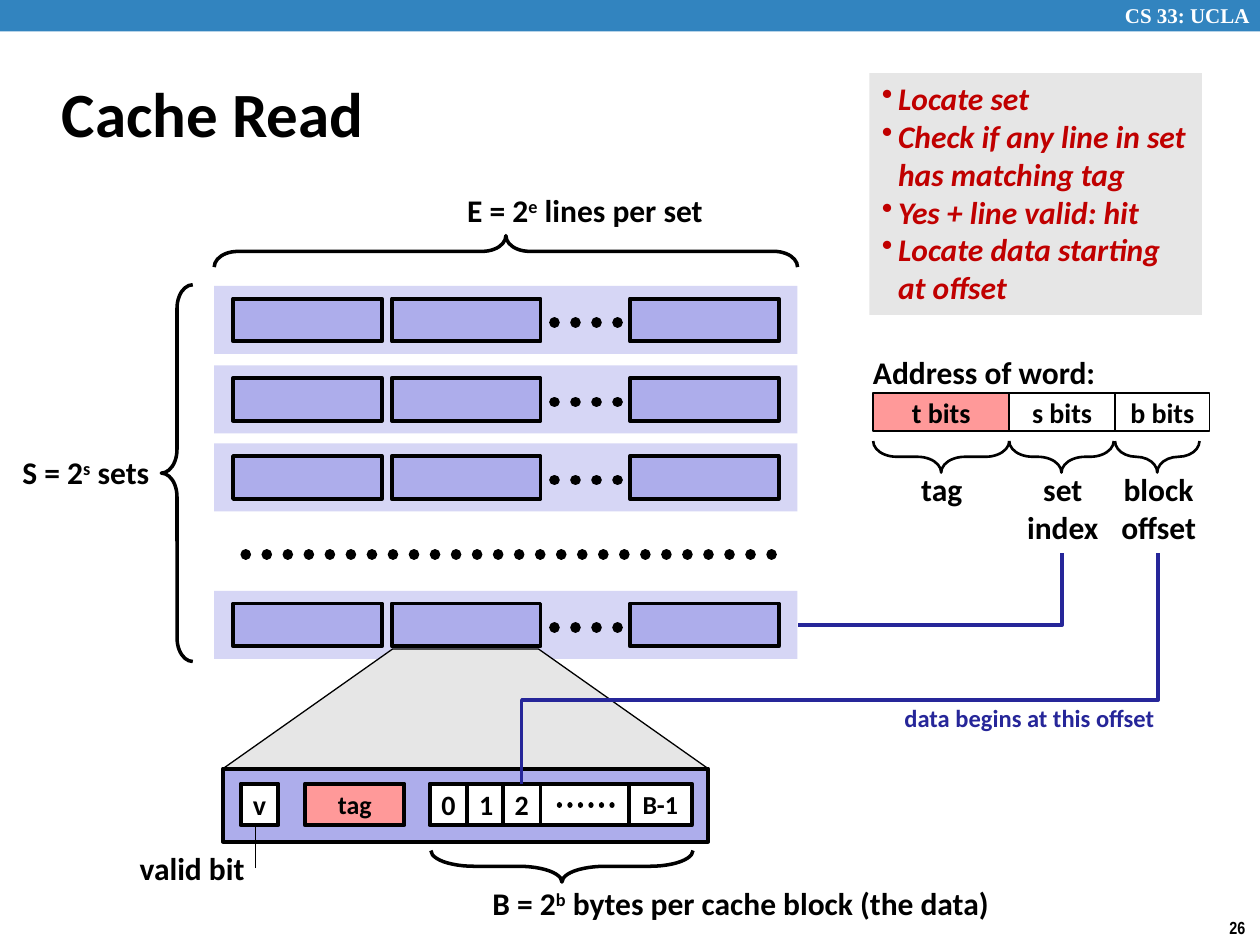
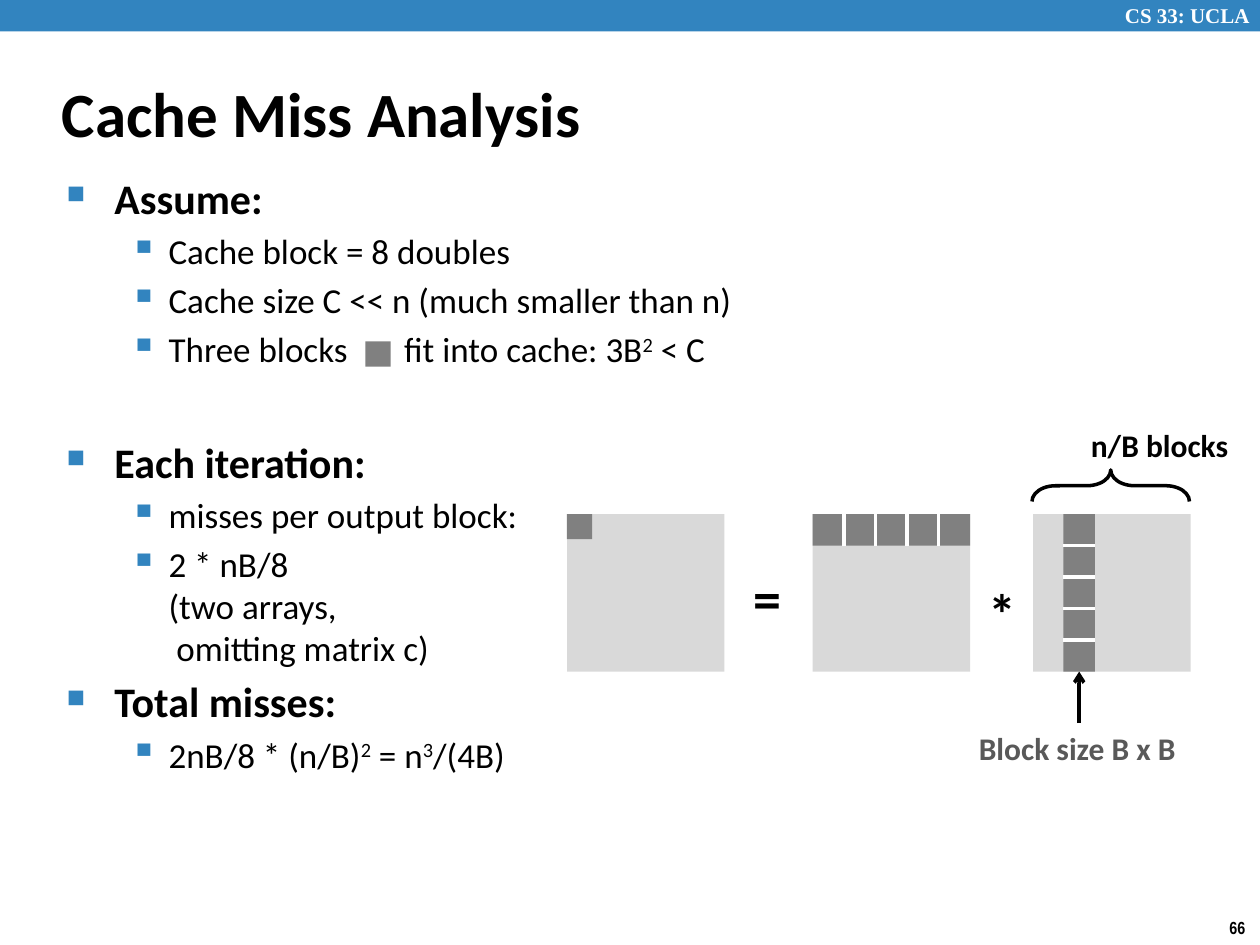
from dataclasses import dataclass

from lxml import etree
from pptx import Presentation
from pptx.dml.color import RGBColor
from pptx.enum import dml, shapes, text
from pptx.oxml import ns
from pptx.util import Inches, Pt

SHAPE = shapes.MSO_SHAPE


@dataclass(frozen=True)
class Theme:
    font: str = "Calibri"
    header_font: str = "Times New Roman"
    number_font: str = "Arial Narrow"
    black: str = "000000"
    white: str = "FFFFFF"
    band: str = "3284BF"
    set_fill: str = "D6D6F5"
    line_fill: str = "ADADEB"
    tag_fill: str = "FF9999"
    pale: str = "E6E6E6"
    matrix: str = "D9D9D9"
    block: str = "808080"
    caption: str = "595959"
    steps: str = "C00000"
    path_blue: str = "262699"
    title: float = 36
    operator: float = 32
    heading: float = 24
    item: float = 20
    label: float = 18
    cell: float = 16
    small_cell: float = 14.8
    note: float = 14
    header: float = 12
    number: float = 10


T = Theme()


def rgb(color):
    return RGBColor.from_string(color)


def add_runs(paragraph, content, size, color=T.black, font=T.font, bold=True, italic=False):
    """Write content run by run; ^x^ raises x and a newline breaks the line."""
    for i, piece in enumerate(content.split("^")):
        for j, part in enumerate(piece.split("\n")):
            if j:
                paragraph.add_line_break()
            if not part:
                continue
            run = paragraph.add_run()
            run.text = part
            run.font.name, run.font.size = font, Pt(size)
            run.font.bold, run.font.italic = bold, italic
            run.font.color.rgb = rgb(color)
            if i % 2:
                run._r.get_or_add_rPr().set("baseline", "30000")


def paragraphs(frame, contents):
    """Yield a paragraph with each content, starting with the existing one."""
    for i, content in enumerate(contents):
        yield (frame.add_paragraph() if i else frame.paragraphs[0]), content


def add_text(slide, x, y, w, h, content, size=T.label, align=None, wrap=False, **style):
    frame = slide.shapes.add_textbox(*map(Inches, (x, y, w, h))).text_frame
    frame.word_wrap = wrap
    lines = [content] if isinstance(content, str) else content
    for paragraph, line in paragraphs(frame, lines):
        paragraph.alignment = align
        add_runs(paragraph, line, size, **style)
    return frame


def set_bullet(paragraph, char, margin, hang, color=None, percent=100):
    props = paragraph._p.get_or_add_pPr()
    props.set("marL", str(Inches(margin)))
    props.set("indent", str(-Inches(hang)))
    if color:
        holder = etree.SubElement(props, ns.qn("a:buClr"))
        etree.SubElement(holder, ns.qn("a:srgbClr"), val=color)
    etree.SubElement(props, ns.qn("a:buSzPct"), val=str(percent * 1000))
    etree.SubElement(props, ns.qn("a:buChar"), char=char)


def set_tabs(paragraph, stops):
    tabs = etree.SubElement(paragraph._p.get_or_add_pPr(), ns.qn("a:tabLst"))
    for stop in stops:
        etree.SubElement(tabs, ns.qn("a:tab"), pos=str(Inches(stop)), algn="l")


def add_box(slide, x, y, w, h, fill=None, line=None, kind=SHAPE.RECTANGLE, label="", size=T.cell):
    box = slide.shapes.add_shape(kind, *map(Inches, (x, y, w, h)))
    box.shadow.inherit = False
    if fill:
        box.fill.solid()
        box.fill.fore_color.rgb = rgb(fill)
    else:
        box.fill.background()
    if line:
        box.line.color.rgb = rgb(T.black)
        box.line.width = Pt(line)
    else:
        box.line.fill.background()
    if label:
        frame = box.text_frame
        frame.word_wrap = False
        frame.vertical_anchor = text.MSO_ANCHOR.MIDDLE
        frame.paragraphs[0].alignment = text.PP_ALIGN.CENTER
        add_runs(frame.paragraphs[0], label, size)
    return box


def add_brace(slide, x, y, w, h, rotation=0, line=2, curve=0.75):
    """Brace filling the visible box; 0 points left, 90 up, 270 down."""
    long, thin = max(w, h), min(w, h)
    brace = add_box(slide, x + (w - thin) / 2, y + (h - long) / 2, thin, long,
                    line=line, kind=SHAPE.LEFT_BRACE)
    brace.adjustments[0] = curve
    brace.rotation = rotation


def add_line(slide, start, end, color=T.black, width=2, dotted=False, arrow=False,
             kind=shapes.MSO_CONNECTOR.STRAIGHT):
    line = slide.shapes.add_connector(kind, *map(Inches, (*start, *end)))
    line.line.color.rgb = rgb(color)
    line.line.width = Pt(width)
    props = line._element.spPr
    stroke = props.find(ns.qn("a:ln"))
    if dotted:
        line.line.dash_style = dml.MSO_LINE.ROUND_DOT
        stroke.set("cap", "rnd")
    if arrow:
        etree.SubElement(stroke, ns.qn("a:tailEnd"), type="arrow")
    etree.SubElement(props, ns.qn("a:effectLst"))
    return line


def add_elbow(slide, start, end, bend=None):
    """Connector that leaves start downwards to an end at lower left.

    With a bend it turns at that share of the drop and arrives from above.
    """
    (x0, y0), (x1, y1) = start, end
    drop, run = y1 - y0, x0 - x1
    elbow = add_line(slide, start, end, T.path_blue, kind=shapes.MSO_CONNECTOR.ELBOW)
    frame = elbow._element.spPr.find(ns.qn("a:xfrm"))
    frame.attrib.clear()
    frame.set("rot", str(90 * 60000))
    elbow.left, elbow.top = Inches((x0 + x1 - drop) / 2), Inches((y0 + y1 - run) / 2)
    elbow.width, elbow.height = Inches(drop), Inches(run)
    shape = elbow._element.spPr.find(ns.qn("a:prstGeom"))
    if bend is None:
        shape.set("prst", "bentConnector2")
    else:
        guides = shape.find(ns.qn("a:avLst"))
        if guides is None:
            guides = etree.SubElement(shape, ns.qn("a:avLst"))
        etree.SubElement(guides, ns.qn("a:gd"), name="adj1", fmla=f"val {round(bend * 100000)}")


def start_slide(deck, title, number):
    slide = deck.slides.add_slide(deck.slide_layouts[5])
    add_box(slide, 0, 0, 10, 0.25, T.band)
    add_text(slide, 8.83, -0.03, 1.24, 0.3, "CS 33: UCLA", T.header, wrap=True,
             color=T.white, font=T.header_font)
    add_text(slide, 9.66, 7.23, 0.34, 0.27, number, T.number, font=T.number_font)
    heading = slide.shapes.title
    heading.left, heading.top, heading.width, heading.height = map(Inches, (0.39, 0.48, 8.3, 0.83))
    frame = heading.text_frame
    frame.auto_size = text.MSO_AUTO_SIZE.NONE
    frame.vertical_anchor = text.MSO_ANCHOR.MIDDLE
    frame.paragraphs[0].alignment = text.PP_ALIGN.LEFT
    add_runs(frame.paragraphs[0], title, T.title)
    return slide


def draw_set(slide, x, y):
    add_box(slide, x, y, 4.63, 0.54, T.set_fill)
    for dx in (0.15, 1.41, 3.3):
        add_box(slide, x + dx, y + 0.1, 1.18, 0.34, T.line_fill, 2.25)
    add_line(slide, (x + 2.7, y + 0.29), (x + 3.31, y + 0.29), width=6, dotted=True)


def draw_cache(slide, x, y):
    add_text(slide, x + 1.91, y - 0.8, 2.14, 0.4, "E = 2^e^ lines per set")
    add_brace(slide, x, y - 0.4, 4.63, 0.25, 90)
    add_text(slide, x - 1.62, y + 1.28, 1.23, 0.4, "S = 2^s^ sets")
    add_brace(slide, x - 0.42, y - 0.01, 0.25, 2.99)
    for dy in (0, 0.63, 1.25, 2.42):
        draw_set(slide, x, y + dy)
    add_line(slide, (x + 0.25, y + 2.13), (x + 4.49, y + 2.13), width=6, dotted=True)


def draw_cache_line(slide, x, y):
    """One cache line enlarged: valid bit, tag and data bytes."""
    zoom = add_box(slide, x, y - 0.95, 3.85, 0.95, T.pale, 0.75, SHAPE.TRAPEZOID)
    zoom.adjustments[0] = 1.418
    add_box(slide, x, y, 3.85, 0.58, T.line_fill, 2.25)
    fields = [
        ("v", 0.14, 0.3, T.white, T.cell),
        ("tag", 0.65, 0.79, T.tag_fill, T.small_cell),
        ("0", 1.64, 0.3, T.white, T.cell),
        ("1", 1.94, 0.3, T.white, T.cell),
        ("2", 2.22, 0.3, T.white, T.cell),
        ("", 2.52, 0.7, T.white, T.cell),
        ("B-1", 3.22, 0.5, T.white, T.small_cell),
    ]
    for label, dx, width, fill, size in fields:
        add_box(slide, x + dx, y + 0.12, width, 0.33, fill, 2.25, label=label, size=size)
    add_line(slide, (x + 2.67, y + 0.29), (x + 3.17, y + 0.29), width=3, dotted=True)
    add_text(slide, x - 0.76, y + 0.59, 1.04, 0.4, "valid bit")
    add_line(slide, (x + 0.26, y + 0.79), (x + 0.26, y + 0.46), width=0.75)
    add_brace(slide, x + 1.65, y + 0.65, 2.08, 0.25, 270, curve=1.37)
    add_text(slide, x + 2.04, y + 0.87, 4.19, 0.4, "B = 2^b^ bytes per cache block (the data)")


def draw_address(slide, x, y):
    add_text(slide, x - 0.1, y - 0.37, 1.98, 0.4, "Address of word:")
    parts = [
        ("t bits", 0, 1.08, T.tag_fill, 1.08, ["tag"], 0.28, 0.53),
        ("s bits", 1.08, 0.84, T.white, 0.83, ["set", "index"], 1.12, 0.77),
        ("b bits", 1.92, 0.75, T.white, 0.67, ["block", "offset"], 1.86, 0.81),
    ]
    for bits, dx, width, fill, span, meaning, text_dx, text_width in parts:
        add_box(slide, x + dx, y, width, 0.3, fill, 1, label=bits)
        add_brace(slide, x + dx, y + 0.38, span, 0.25, 270, line=1.5)
        add_text(slide, x + text_dx, y + 0.56, text_width, 0.4 if len(meaning) == 1 else 0.71,
                 meaning, align=text.PP_ALIGN.CENTER)


def draw_steps(slide, x, y, w, h):
    add_box(slide, x, y, w, h, T.pale)
    steps = ["Locate set", "Check if any line in set\nhas matching tag",
             "Yes + line valid: hit", "Locate data starting\nat offset"]
    frame = add_text(slide, x, y, w, h, steps, color=T.steps, italic=True)
    for step in frame.paragraphs:
        set_bullet(step, "•", 0.13, 0.13)


def cache_read(deck):
    slide = start_slide(deck, "Cache Read", "26")
    draw_cache(slide, 1.7, 2.27)
    draw_cache_line(slide, 1.77, 6.1)
    draw_address(slide, 6.93, 3.12)
    add_elbow(slide, (8.43, 4.39), (6.33, 4.96))
    add_elbow(slide, (9.19, 4.39), (4.14, 6.22), bend=0.638)
    add_text(slide, 7.08, 5.53, 2.2, 0.34, "data begins at this offset", T.note, color=T.path_blue)
    draw_steps(slide, 6.9, 0.58, 2.64, 1.92)


def draw_outline(slide, x, y, w, h):
    outline = [
        ("Assume:", 0, 0),
        ("Cache block = 8 doubles", 1, 4),
        ("Cache size C << n (much smaller than n)", 1, 4),
        ("Three blocks\tfit into cache: 3B^2^ < C", 1, 4),
        ("Each iteration:", 0, 38),
        ("misses per output block:", 1, 4),
        ("2 * nB/8\n(two arrays,\n omitting matrix c)", 1, 4),
        ("Total misses:", 0, 4),
        ("2nB/8 * (n/B)^2^ = n^3^/(4B)", 1, 4),
    ]
    frame = slide.shapes.add_textbox(*map(Inches, (x, y, w, h))).text_frame
    frame.word_wrap = True
    for paragraph, (content, level, before) in paragraphs(frame, outline):
        paragraph.level = level
        paragraph.space_before = Pt(before)
        if level:
            set_bullet(paragraph, "▪", 0.81, 0.31, T.band, 110)
        else:
            set_bullet(paragraph, "■", 0.38, 0.38, T.band, 60)
        if "\t" in content:
            # Stops measured from the indent and from the box edge
            set_tabs(paragraph, (1.87, 2.68))
        add_runs(paragraph, content, T.item if level else T.heading, bold=not level)
    add_box(slide, x + 2.47, y + 1.39, 0.2, 0.2, T.block)


def draw_product(slide, x, y, side=1.25, block=0.25):
    """Output matrix = block row * block column."""
    left, right = x + 1.95, x + 3.7
    for matrix in (x, left, right):
        add_box(slide, matrix, y, side, side, T.matrix)
    add_text(slide, x + 1.38, y + 0.34, 0.43, 0.64, "=", T.operator)
    add_text(slide, x + 3.25, y + 0.46, 0.43, 0.64, "*", T.operator)
    add_box(slide, x, y, 0.2, 0.2, T.block)
    add_box(slide, left, y, side, block, T.block)
    strip = right + 0.24
    column = add_box(slide, strip, y, block, side, T.block)
    for i in range(1, 5):
        step = i * block
        add_line(slide, (left + step, y), (left + step, y + block), T.white)
        add_line(slide, (strip, y + step), (strip + block, y + step), T.white)
    middle = strip + block / 2
    arrow = add_line(slide, (middle, y + 1.66), (middle, y + side), arrow=True)
    arrow.end_connect(column, 2)
    add_text(slide, x + 3.17, y + 1.66, 1.78, 0.4, "Block size B x B", color=T.caption)
    add_brace(slide, right - 0.01, y - 0.35, side, 0.25, 90)
    add_text(slide, x + 4.06, y - 0.75, 1.3, 0.4, "n/B blocks")


def cache_miss_analysis(deck):
    slide = start_slide(deck, "Cache Miss Analysis", "66")
    draw_outline(slide, 0.43, 1.32, 8.64, 5.84)
    draw_product(slide, 4.5, 4.08)


def main():
    deck = Presentation()
    deck.slide_width, deck.slide_height = Inches(10), Inches(7.5)
    cache_read(deck)
    cache_miss_analysis(deck)
    deck.save("out.pptx")


if __name__ == "__main__":
    main()
